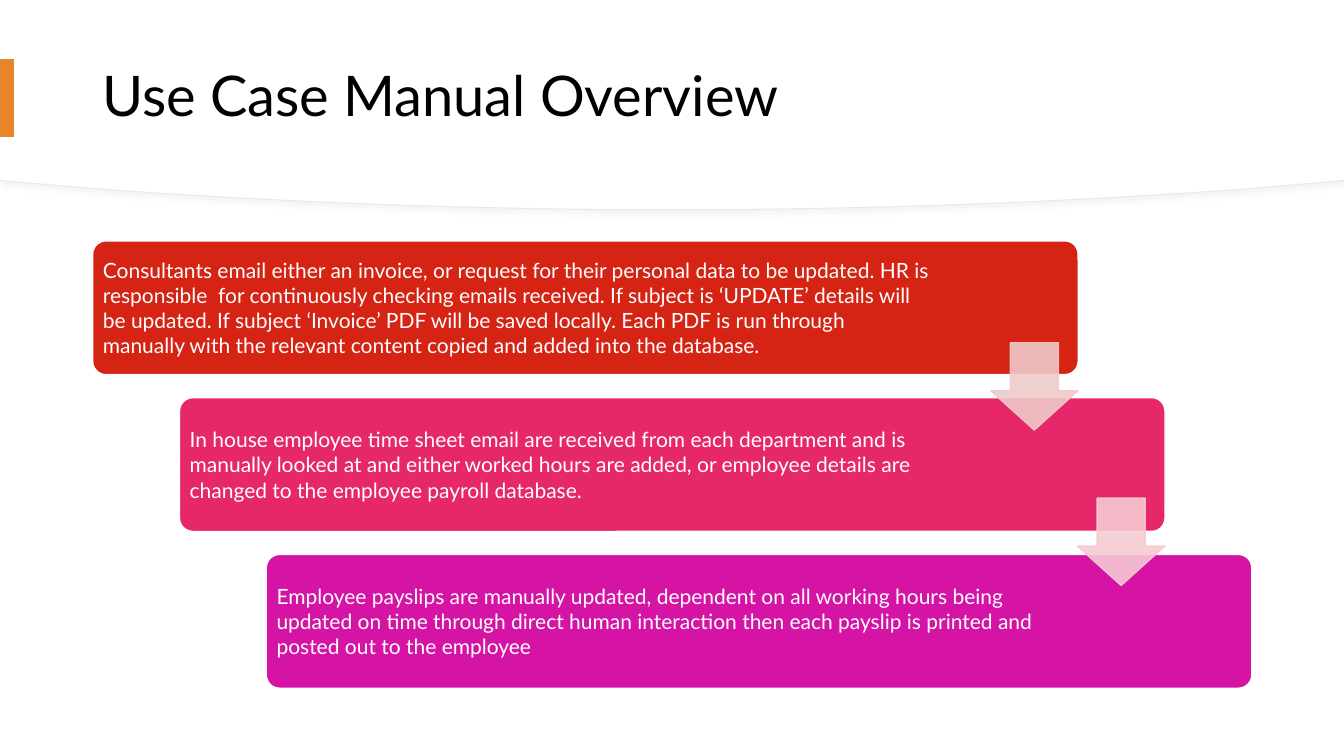
from lxml import etree
from pptx import Presentation
from pptx.dml.color import RGBColor
from pptx.enum.shapes import MSO_SHAPE
from pptx.enum.text import MSO_ANCHOR
from pptx.oxml.ns import qn
from pptx.util import Pt

MIDDLE = MSO_ANCHOR.MIDDLE
RECT = MSO_SHAPE.RECTANGLE
ROUNDED = MSO_SHAPE.ROUNDED_RECTANGLE
DOWN_ARROW = MSO_SHAPE.DOWN_ARROW

WHITE = RGBColor(0xFF, 0xFF, 0xFF)
BLACK = RGBColor(0x00, 0x00, 0x00)
ORANGE = RGBColor(0xE7, 0x86, 0x29)
EDGE = RGBColor(0xF1, 0xE3, 0xF1)
SHADOW = RGBColor(0xD8, 0xD8, 0xD8)
RED = RGBColor(0xD5, 0x23, 0x14)
PINK = RGBColor(0xE6, 0x27, 0x69)
MAGENTA = RGBColor(0xD5, 0x14, 0xA6)
PALE_RED = RGBColor(0xEF, 0xCB, 0xCA)
PALE_PINK = RGBColor(0xF6, 0xCB, 0xD3)

WIDTH, HEIGHT = 960, 540

prs = Presentation()
prs.slide_width, prs.slide_height = Pt(WIDTH), Pt(HEIGHT)
s = prs.slides.add_slide(prs.slide_layouts[6])


def add_text(text, x, y, w, h, size, color, inset_x, inset_y, spacing=1.0):
    tf = s.shapes.add_textbox(Pt(x), Pt(y), Pt(w), Pt(h)).text_frame
    tf.word_wrap = True
    tf.vertical_anchor = MIDDLE
    tf.margin_left = tf.margin_right = Pt(inset_x)
    tf.margin_top = tf.margin_bottom = Pt(inset_y)
    p = tf.paragraphs[0]
    p.line_spacing = spacing
    r = p.add_run()
    r.text = text
    r.font.name, r.font.size, r.font.color.rgb = "Lato", Pt(size), color


def style(sp, fill, line=None, line_width=1, alpha=None):
    sp.shadow.inherit = False
    sp.fill.solid()
    sp.fill.fore_color.rgb = fill
    if line is None:
        sp.line.fill.background()
    else:
        sp.line.color.rgb = line
        sp.line.width = Pt(line_width)
    if alpha is not None:
        for clr in sp._element.spPr.iter(qn("a:srgbClr")):
            etree.SubElement(clr, qn("a:alpha"), val=str(alpha * 1000))


# Curved header: a cubic from the right shoulder to the middle, then mirrored
right_curve = [(894, 134.6), (767, 144), (627, 149.8), (480, 149.8)]
STEPS = 24
right_half = []
for i in range(STEPS + 1):
    t = i / STEPS
    weights = [(1 - t) ** 3, 3 * t * (1 - t) ** 2, 3 * t ** 2 * (1 - t), t ** 3]
    right_half.append([sum(k * pt[axis] for k, pt in zip(weights, right_curve))
                       for axis in (0, 1)])
left_half = [(WIDTH - x, y) for x, y in reversed(right_half[:-1])]
outline = [(WIDTH, 0), (WIDTH, 128.9), *right_half, *left_half, (0, 128.9)]

for lift, edge in ((0, EDGE), (0.7, None)):
    fb = s.shapes.build_freeform(0, 0)
    fb.add_line_segments([(Pt(x), Pt(max(y - lift, 0))) for x, y in outline])
    sp = fb.convert_to_shape()
    style(sp, WHITE, edge, 0.75)
    if edge is not None:
        effects = sp._element.spPr.find(qn("a:effectLst"))
        shadow = etree.SubElement(effects, qn("a:outerShdw"), blurRad=str(Pt(4)),
                                  dist=str(Pt(3)), dir="2700000", rotWithShape="0")
        clr = etree.SubElement(shadow, qn("a:srgbClr"), val=str(SHADOW))
        etree.SubElement(clr, qn("a:alpha"), val="29000")

# Title and accent bar
add_text("Use Case Manual Overview", 66, 20, 828, 100, 40, BLACK, 7.2, 3.6, 0.9)
style(s.shapes.add_shape(RECT, 0, Pt(42.3), Pt(10), Pt(55.5)), ORANGE)

# Staggered process steps: colour, text width, text
steps = [
    (RED, 600.5, "Consultants email either an invoice, or request for their personal data "
     "to be updated. HR is responsible  for continuously checking emails received. "
     "If subject is ‘UPDATE’ details will be updated. If subject ‘Invoice’ PDF will be "
     "saved locally. Each PDF is run through manually with the relevant content copied "
     "and added into the database."),
    (PINK, 574, "In house employee time sheet email are received from each department and "
     "is manually looked at and either worked hours are added, or employee details are "
     "changed to the employee payroll database."),
    (MAGENTA, 574, "Employee payslips are manually updated, dependent on all working hours "
     "being updated on time through direct human interaction then each payslip is "
     "printed and posted out to the employee"),
]
STEP_X, STEP_Y = 62, 112
for i, (color, text_width, text) in enumerate(steps):
    x, y = 66.2 + i * STEP_X, 172 + i * STEP_Y
    sp = s.shapes.add_shape(ROUNDED, Pt(x), Pt(y), Pt(704), Pt(95.6))
    sp.adjustments[0] = 0.1
    style(sp, color, WHITE)
    add_text(text, x + 2.8, y + 2.8, text_width, 90, 15, WHITE, 4.5, 4.5)

# Arrows between steps
for i, color in enumerate((PALE_RED, PALE_PINK)):
    sp = s.shapes.add_shape(DOWN_ARROW, Pt(707.6 + i * STEP_X), Pt(244.8 + i * 111),
                            Pt(62.4), Pt(62.4))
    sp.adjustments[0], sp.adjustments[1] = 0.55, 0.45
    style(sp, color, color, alpha=89)

prs.save("out.pptx")
